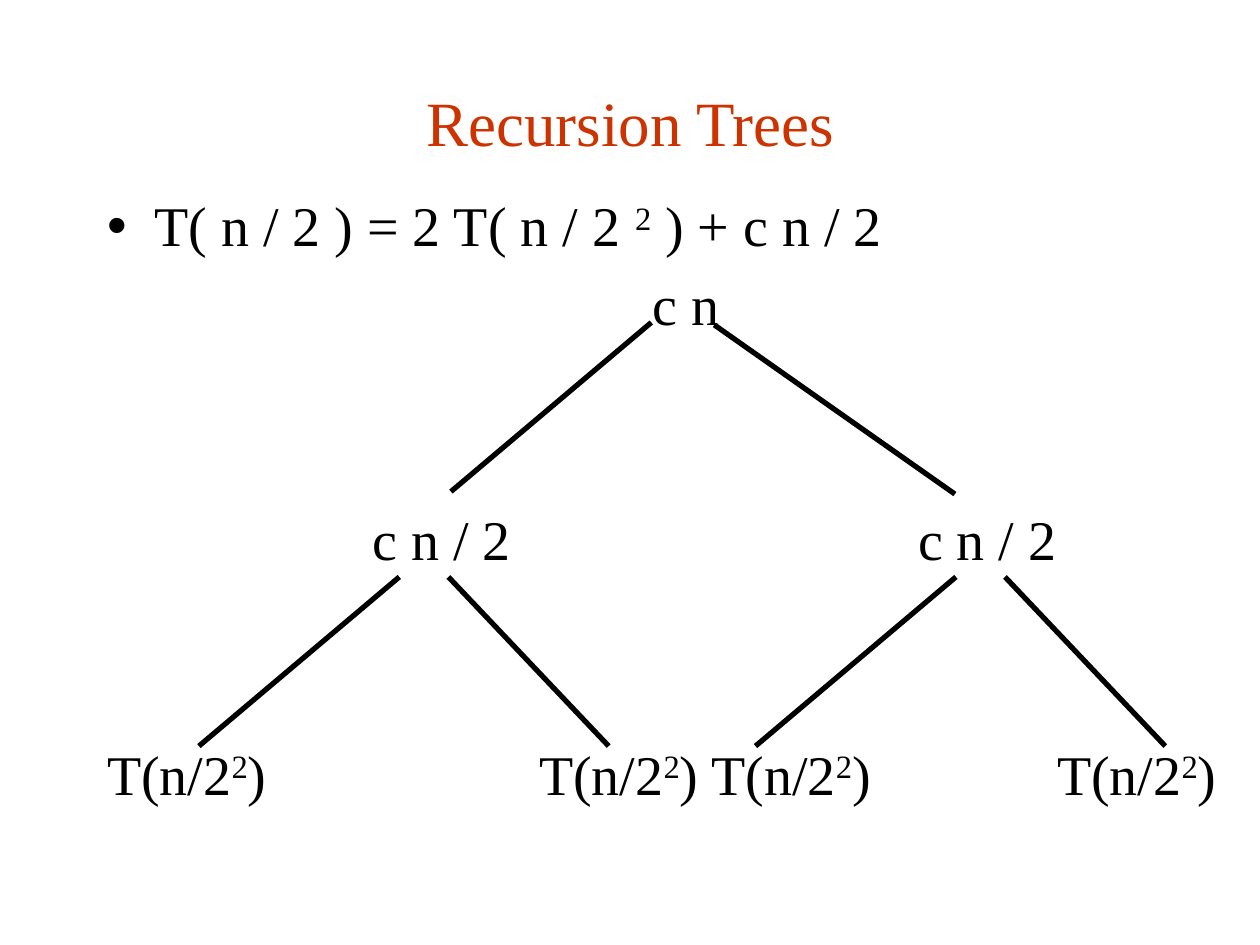
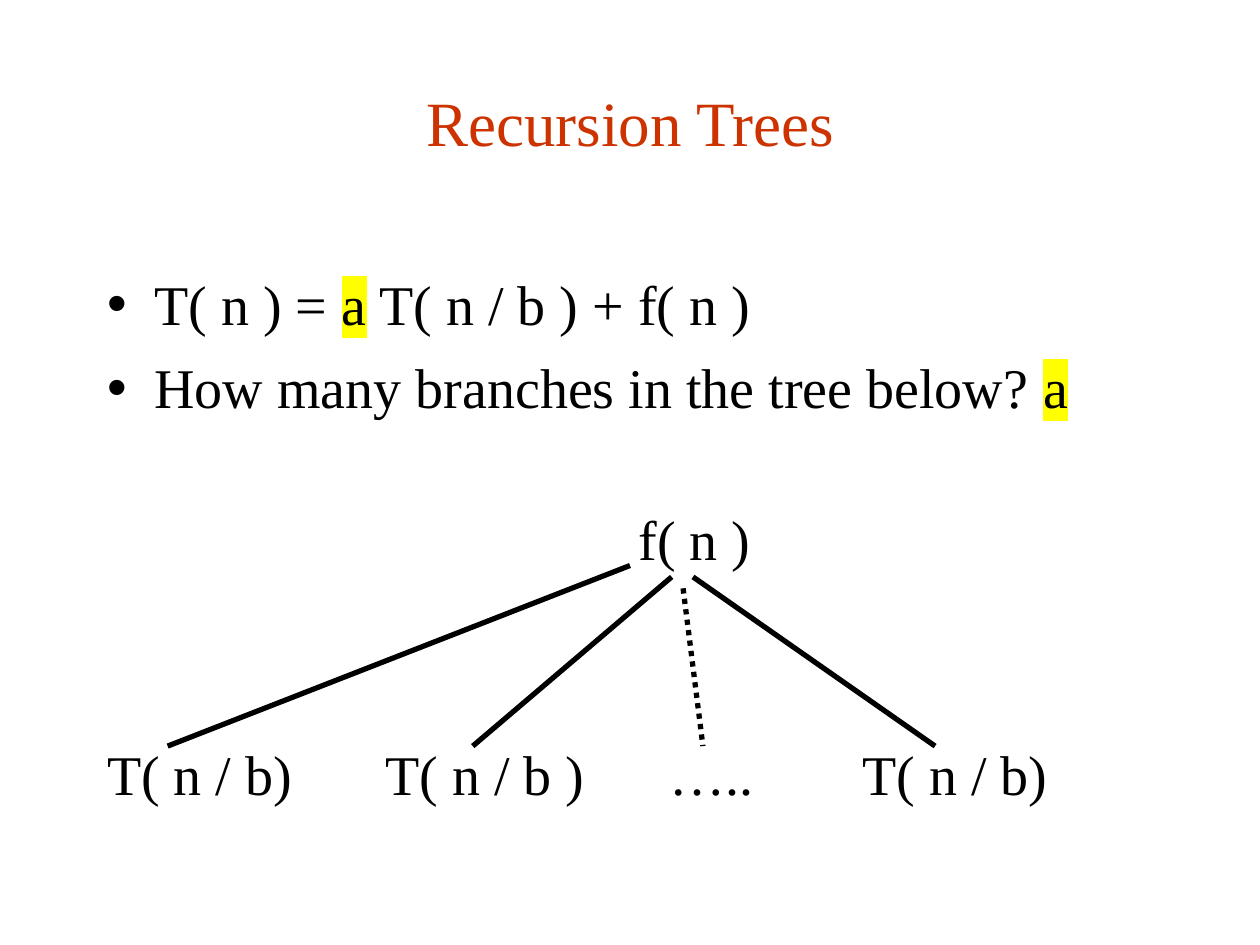
from dataclasses import dataclass

from lxml.etree import SubElement
from pptx import Presentation
from pptx.dml.color import RGBColor
from pptx.enum.dml import MSO_LINE
from pptx.enum.text import MSO_ANCHOR, MSO_AUTO_SIZE, PP_ALIGN
from pptx.oxml.ns import qn
from pptx.util import Cm, Pt


@dataclass(frozen=True)
class Theme:
    font: str = "Times New Roman"
    title_color: str = "CC3300"
    ink: str = "000000"
    marker: str = "FFFF00"
    title_size: int = 36
    text_size: int = 32
    edge_width: int = 3


THEME = Theme()
TITLE_BOX = (1.91, 1.7, 21.59, 1.48)
TEXT_LEFT, TEXT_WIDTH = 2.16, 21.6
FIRST_ROW, ROW_PITCH, ROW_GAP = 3.85, 1.58, 0.33
PARENT_BOTTOM, CHILD_TOP = 11.63, 15.04
SUBTREE_SHIFT = 11.22

SQUARED = ("2", "super")
VARIABLE_A = ("a", "mark")
QUARTER_COST = ["T(n/2", SQUARED, ")"]

HALF_BRANCHES = [
    ((start + shift, PARENT_BOTTOM), (end + shift, CHILD_TOP), "solid")
    for shift in (0, SUBTREE_SHIFT)
    for start, end in ((8.05, 4.01), (9.04, 12.27))
]

SLIDES = [
    {
        "title": "Recursion Trees",
        "bullet_row": 0,
        "bullets": [["T( n / 2 ) = 2 T( n / 2 ", SQUARED, " ) + c n / 2"]],
        "node_width": 3.45,
        "nodes": [
            (1, 13.15, ["c n"]),
            (4, 7.51, ["c n / 2"]),
            (4, 18.51, ["c n / 2"]),
            *[(7, left, QUARTER_COST) for left in (2.16, 10.87, 14.34, 21.31)],
        ],
        "edges": [
            ((13.13, 6.5), (9.09, 9.91), "solid"),
            ((14.4, 6.55), (19.25, 9.96), "solid"),
            *HALF_BRANCHES,
        ],
    },
    {
        "title": "Recursion Trees",
        "bullet_row": 1,
        "bullets": [
            ["T( n ) = ", VARIABLE_A, " T( n / b ) + f( n )"],
            ["How many branches in the tree below? ", VARIABLE_A],
        ],
        "node_width": 4.3,
        "nodes": [
            (4, 12.87, ["f( n )"]),
            (7, 2.16, ["T( n / b)"]),
            (7, 7.77, ["T( n / b )"]),
            (7, 13.5, ["….."]),
            (7, 17.39, ["T( n / b)"]),
        ],
        "edges": [
            ((12.7, 11.4), (3.38, CHILD_TOP), "solid"),
            ((13.54, PARENT_BOTTOM), (9.53, CHILD_TOP), "solid"),
            ((13.77, 11.86), (14.17, CHILD_TOP), "dotted"),
            ((13.97, PARENT_BOTTOM), (18.85, CHILD_TOP), "solid"),
        ],
    },
]


def row_top(row):
    return FIRST_ROW + row * ROW_PITCH


def place(shape, left, top, width, height):
    shape.left, shape.top = Cm(left), Cm(top)
    shape.width, shape.height = Cm(width), Cm(height)


def prepare_frame(frame, anchor):
    frame.word_wrap = True
    frame.auto_size = MSO_AUTO_SIZE.NONE
    frame.vertical_anchor = anchor
    frame.margin_left = frame.margin_right = 0
    frame.margin_top = frame.margin_bottom = 0


def style_span(span, size, color):
    span.font.name = THEME.font
    span.font.size = Pt(size)
    span.font.color.rgb = RGBColor.from_string(color)


def write_spans(para, parts):
    for part in parts:
        text, effect = part if isinstance(part, tuple) else (part, None)
        span = para.add_run()
        span.text = text
        style_span(span, THEME.text_size, THEME.ink)
        properties = span._r.get_or_add_rPr()
        if effect == "super":
            properties.set("baseline", "30000")
        elif effect == "mark":
            highlight = SubElement(properties, qn("a:highlight"))
            SubElement(highlight, qn("a:srgbClr")).set("val", THEME.marker)
            properties.find(qn("a:solidFill")).addnext(highlight)


def add_title(page, text):
    title = page.shapes.title
    place(title, *TITLE_BOX)
    prepare_frame(title.text_frame, MSO_ANCHOR.MIDDLE)
    title.text_frame.text = text
    para = title.text_frame.paragraphs[0]
    para.alignment = PP_ALIGN.CENTER
    style_span(para.runs[0], THEME.title_size, THEME.title_color)


def add_bullets(page, row, bullets):
    body = page.placeholders[1]
    place(body, TEXT_LEFT, row_top(row), TEXT_WIDTH, len(bullets) * ROW_PITCH)
    frame = body.text_frame
    prepare_frame(frame, MSO_ANCHOR.TOP)
    for index, parts in enumerate(bullets):
        para = frame.add_paragraph() if index else frame.paragraphs[0]
        para.space_before = Pt(0)
        para.space_after = Cm(ROW_GAP)
        write_spans(para, parts)


def add_node(page, row, left, parts, width):
    box = page.shapes.add_textbox(
        Cm(left), Cm(row_top(row)), Cm(width), Cm(ROW_PITCH - ROW_GAP)
    )
    prepare_frame(box.text_frame, MSO_ANCHOR.TOP)
    write_spans(box.text_frame.paragraphs[0], parts)


def add_edge(page, start, end, kind):
    points = [Cm(value) for value in (*start, *end)]
    edge = page.shapes.add_connector(1, *points)
    edge.line.color.rgb = RGBColor.from_string(THEME.ink)
    edge.line.width = Pt(THEME.edge_width)
    if kind == "dotted":
        edge.line.dash_style = MSO_LINE.ROUND_DOT
    SubElement(edge._element.spPr, qn("a:effectLst"))


def main():
    deck = Presentation()
    deck.slide_width, deck.slide_height = Cm(25.4), Cm(19.05)
    for content in SLIDES:
        page = deck.slides.add_slide(deck.slide_layouts[1])
        add_title(page, content["title"])
        add_bullets(page, content["bullet_row"], content["bullets"])
        for row, left, parts in content["nodes"]:
            add_node(page, row, left, parts, content["node_width"])
        for start, end, kind in content["edges"]:
            add_edge(page, start, end, kind)
    deck.save("out.pptx")


if __name__ == "__main__":
    main()
